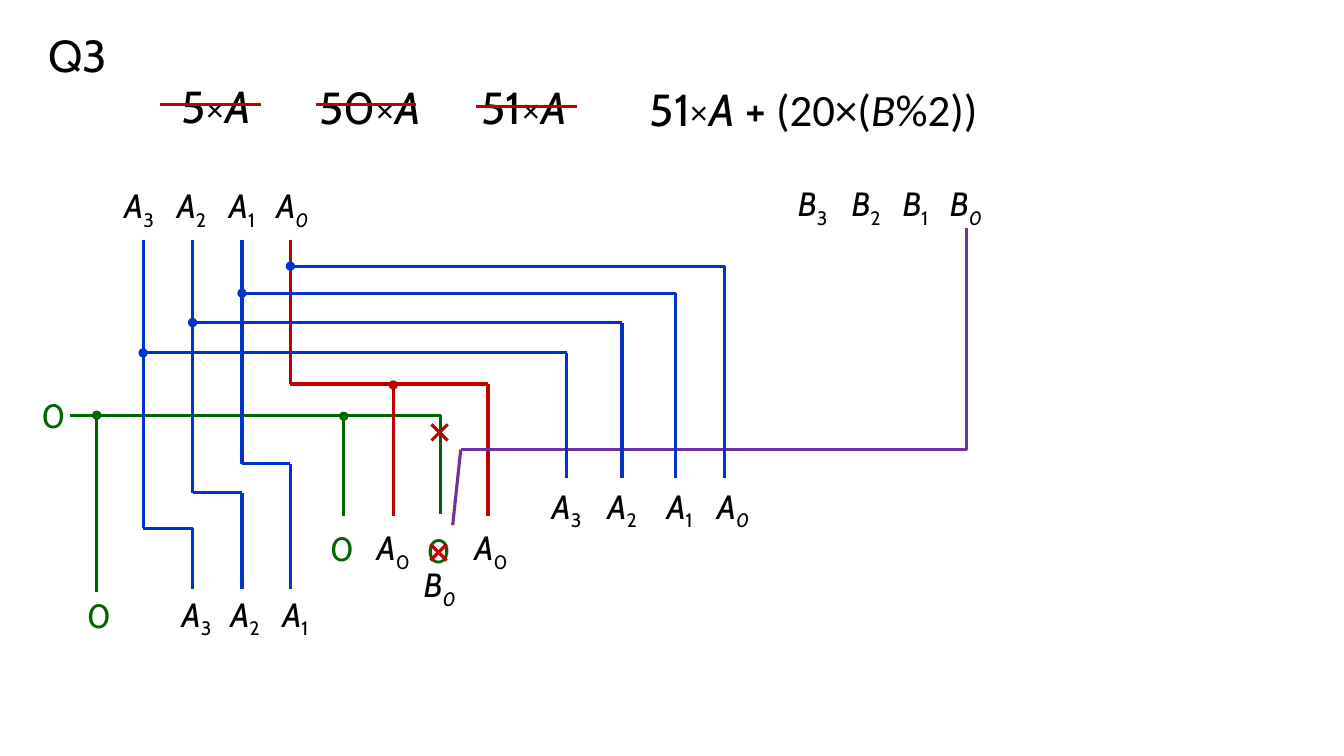
from itertools import pairwise

from lxml.etree import SubElement
from pptx import Presentation
from pptx.dml.color import RGBColor as RGB
from pptx.enum.shapes import MSO_CONNECTOR
from pptx.enum.text import MSO_ANCHOR, MSO_AUTO_SIZE, PP_ALIGN
from pptx.oxml.ns import qn
from pptx.util import Inches, Pt


class Theme:
    font, formula_font = "Cabin", "Calibri"
    title_size, label_size = Pt(32), Pt(24)
    line_width = Pt(2.25)
    black = RGB(0x00, 0x00, 0x00)
    green = RGB(0x00, 0x66, 0x00)
    red = RGB(0xC0, 0x00, 0x00)
    blue = RGB(0x00, 0x33, 0xCC)
    purple = RGB(0x70, 0x30, 0xA0)


TITLE = "Q3"

# Struck-out products: factor, centre x, top, strike start x, strike y
REJECTED = [("5×", 2.14, 0.73, 1.59, 1.04),
            ("50×", 3.67, 0.74, 3.13, 1.04),
            ("51×", 5.2, 0.74, 4.72, 1.06)]
STRIKE_LENGTH = 1.0

# Final formula: text, italic, font
FORMULA = [("51×", False, Theme.font), ("A ", True, Theme.font),
           ("+ ", False, Theme.font), ("(20×(", False, Theme.formula_font),
           ("B", True, Theme.formula_font), ("%2))", False, Theme.formula_font)]

# Bit labels: letter, top, [(digit, centre x, digit is italic)]
BIT_ROWS = [
    ("A", 1.79, [("3", 1.38, False), ("2", 1.9, False), ("1", 2.4, False), ("0", 2.9, True)]),
    ("A", 5.84, [("3", 1.95, False), ("2", 2.43, False), ("1", 2.93, False)]),
    ("A", 5.18, [("0", 3.9, False), ("0", 4.87, False)]),
    ("A", 4.77, [("3", 5.62, False), ("2", 6.17, False), ("1", 6.74, False), ("0", 7.27, True)]),
    ("B", 1.77, [("3", 8.06, False), ("2", 8.59, False), ("1", 9.08, False), ("0", 9.58, True)]),
    ("B", 5.55, [("0", 4.36, True)]),
]
ZEROS = [(0.53, 3.87), (0.98, 5.85), (3.39, 5.19), (4.35, 5.21)]  # centre x, top

INPUT_XS = (1.42, 1.91, 2.4, 2.88)  # A3 to A0
INPUT_TOP, SHIFT_BOTTOM, COPY_BOTTOM = 2.38, 5.84, 4.74
SHIFT_YS = (5.24, 4.89, 4.6)
COPY_YS = (3.5, 3.2, 2.91, 2.64)
COPY_XS = (5.62, 6.17, 6.7, 7.19)

# Wires: colour, starts with a junction dot, corner points
WIRES = [
    (Theme.green, False, [(0.69, 4.12), (4.37, 4.12), (4.37, 5.1)]),
    (Theme.green, True, [(3.41, 4.13), (3.41, 5.12)]),
    (Theme.green, True, [(0.96, 4.12), (0.96, 5.87)]),
    (Theme.red, False, [(2.88, INPUT_TOP), (2.88, 3.81), (4.84, 3.81), (4.84, 5.12)]),
    (Theme.red, True, [(3.9, 3.82), (3.9, 5.12)]),
    (Theme.purple, False, [(9.59, 2.26), (9.59, 4.46), (4.57, 4.46), (4.49, 5.21)]),
]
for (x, next_x), shift_y in zip(pairwise(INPUT_XS), SHIFT_YS):
    WIRES.append((Theme.blue, False, [(x, INPUT_TOP), (x, shift_y),
                                      (next_x, shift_y), (next_x, SHIFT_BOTTOM)]))
for x, copy_y, copy_x in zip(INPUT_XS, COPY_YS, COPY_XS):
    WIRES.append((Theme.blue, True, [(x, copy_y), (copy_x, copy_y), (copy_x, COPY_BOTTOM)]))

CROSSES = [(4.36, 4.29), (4.35, 5.48)]  # centres
CROSS_ARM = 0.08


def add_run(paragraph, text, size, italic=False, color=Theme.black, font=Theme.font):
    run = paragraph.add_run()
    run.text = text
    run.font.size, run.font.name = size, font
    run.font.italic = italic
    run.font.color.rgb = color
    return run


def add_centred_text(slide, center_x, top, width, height):
    """Add an empty text box centred on center_x and return its paragraph."""
    box = slide.shapes.add_textbox(Inches(center_x - width / 2), Inches(top),
                                   Inches(width), Inches(height))
    box.text_frame.word_wrap = True
    box.text_frame.auto_size = MSO_AUTO_SIZE.SHAPE_TO_FIT_TEXT
    paragraph = box.text_frame.paragraphs[0]
    paragraph.alignment = PP_ALIGN.CENTER
    return paragraph


def add_line(slide, start, end, color, dotted=False):
    """Add a straight line, with a junction dot at its start if dotted."""
    line = slide.shapes.add_connector(MSO_CONNECTOR.STRAIGHT,
                                      *(Inches(value) for value in (*start, *end)))
    line.line.color.rgb = color
    line.line.width = Theme.line_width
    if dotted:
        SubElement(line.line._get_or_add_ln(), qn("a:headEnd"), type="oval")
    SubElement(line._element.spPr, qn("a:effectLst"))


def add_title(slide):
    title = slide.shapes.title
    title.left, title.top = Inches(0.38), Inches(0.26)
    title.width, title.height = Inches(0.99), Inches(0.63)
    frame = title.text_frame
    frame.auto_size = MSO_AUTO_SIZE.NONE
    frame.vertical_anchor = MSO_ANCHOR.MIDDLE
    paragraph = frame.paragraphs[0]
    paragraph.alignment = PP_ALIGN.LEFT
    paragraph.line_spacing = 0.9
    add_run(paragraph, TITLE, Theme.title_size)


def add_formulas(slide):
    for factor, center_x, top, strike_x, strike_y in REJECTED:
        paragraph = add_centred_text(slide, center_x, top, 1.48, 0.64)
        add_run(paragraph, factor, Theme.title_size)
        add_run(paragraph, "A", Theme.title_size, italic=True)
        add_line(slide, (strike_x, strike_y), (strike_x + STRIKE_LENGTH, strike_y), Theme.red)
    paragraph = add_centred_text(slide, 8.07, 0.76, 4.15, 0.64)
    for text, italic, font in FORMULA:
        add_run(paragraph, text, Theme.title_size, italic, font=font)


def add_labels(slide):
    for letter, top, bits in BIT_ROWS:
        for digit, center_x, italic in bits:
            paragraph = add_centred_text(slide, center_x, top, 0.64, 0.5)
            add_run(paragraph, letter, Theme.label_size, italic=True)
            subscript = add_run(paragraph, digit, Theme.label_size, italic)
            subscript._r.get_or_add_rPr().set("baseline", "-25000")
    for center_x, top in ZEROS:
        paragraph = add_centred_text(slide, center_x, top, 0.52, 0.5)
        add_run(paragraph, "0", Theme.label_size, color=Theme.green)


def add_wires(slide):
    for color, dotted, points in WIRES:
        for index, (start, end) in enumerate(pairwise(points)):
            add_line(slide, start, end, color, dotted and index == 0)
    for x, y in CROSSES:
        for rise in (CROSS_ARM, -CROSS_ARM):
            add_line(slide, (x + CROSS_ARM, y - rise), (x - CROSS_ARM, y + rise), Theme.red)


def main():
    presentation = Presentation()
    presentation.slide_width, presentation.slide_height = Inches(13.33), Inches(7.5)
    slide = presentation.slides.add_slide(presentation.slide_layouts[5])
    add_title(slide)
    add_formulas(slide)
    add_labels(slide)
    add_wires(slide)
    presentation.save("out.pptx")


if __name__ == "__main__":
    main()
